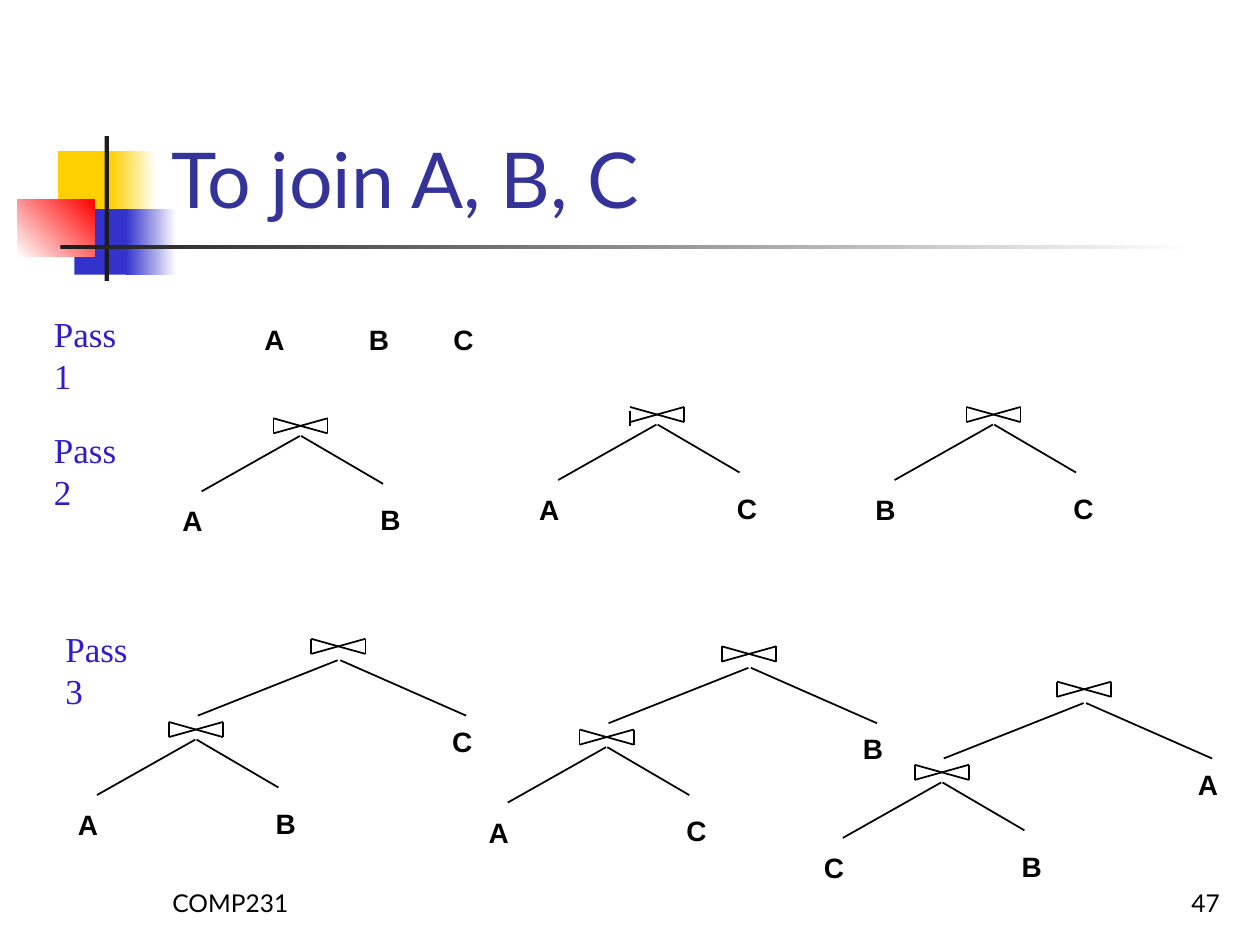
from dataclasses import dataclass

from lxml.etree import SubElement
from pptx import Presentation
from pptx.dml.color import RGBColor
from pptx.enum.shapes import MSO_CONNECTOR, MSO_SHAPE
from pptx.enum.text import MSO_ANCHOR, PP_ALIGN
from pptx.oxml.ns import qn
from pptx.util import Inches, Pt

SLIDE_WIDTH, SLIDE_HEIGHT = Inches(10), Inches(7.5)
COLUMNS, ROWS = 100, 75

# Sizes in grid cells
JOIN_WIDTH, JOIN_HEIGHT = 4.3, 1.2
LEAF_SIZE = 3.6


@dataclass(frozen=True)
class TextStyle:
    font: str
    size: int
    color: str
    bold: bool = False


@dataclass(frozen=True)
class Theme:
    title: TextStyle = TextStyle("Lato", 44, "333399")
    footer: TextStyle = TextStyle("Lato", 14, "000000")
    step: TextStyle = TextStyle("Times New Roman", 20, "301BCD")
    leaf: TextStyle = TextStyle("Arial", 16, "000000", True)
    line: str = "000000"
    line_width: float = 1
    yellow: str = "FFCF01"
    blue: str = "3333CC"
    red: str = "FF0000"
    dark: str = "1C1C1C"
    white: str = "FFFFFF"


THEME = Theme()


def across(columns):
    return round(SLIDE_WIDTH * columns / COLUMNS)


def down(rows):
    return round(SLIDE_HEIGHT * rows / ROWS)


def add_block(slide, left, top, width, height, color, end_color=None, angle=0):
    """Add a borderless rectangle, fading to end_color when one is given."""
    shape = slide.shapes.add_shape(
        MSO_SHAPE.RECTANGLE, across(left), down(top), across(width), down(height)
    )
    shape.shadow.inherit = False
    shape.line.fill.background()
    if end_color is None:
        shape.fill.solid()
        shape.fill.fore_color.rgb = RGBColor.from_string(color)
        return
    shape.fill.gradient()
    shape.fill.gradient_angle = angle
    for stop, stop_color in zip(shape.fill.gradient_stops, (color, end_color)):
        stop.color.rgb = RGBColor.from_string(stop_color)


def add_text(slide, text, left, top, width, height, style,
             anchor=MSO_ANCHOR.TOP, align=PP_ALIGN.LEFT, wrap=False):
    box = slide.shapes.add_textbox(across(left), down(top), across(width), down(height))
    frame = box.text_frame
    frame.word_wrap = wrap
    frame.vertical_anchor = anchor
    paragraph = frame.paragraphs[0]
    paragraph.text = text
    paragraph.alignment = align
    paragraph.font.name = style.font
    paragraph.font.size = Pt(style.size)
    paragraph.font.bold = style.bold
    paragraph.font.color.rgb = RGBColor.from_string(style.color)


def add_line(slide, start_x, start_y, end_x, end_y):
    line = slide.shapes.add_connector(
        MSO_CONNECTOR.STRAIGHT,
        across(start_x), down(start_y), across(end_x), down(end_y),
    )
    line.line.color.rgb = RGBColor.from_string(THEME.line)
    line.line.width = Pt(THEME.line_width)
    SubElement(line._element.spPr, qn("a:effectLst"))


def add_leaf(slide, name, left, top):
    add_text(slide, name, left, top, LEAF_SIZE, LEAF_SIZE, THEME.leaf)


def add_join(slide, left, top, left_side_drop=0):
    """Draw the bow-tie join symbol; its left side can sit a little lower."""
    right, bottom = left + JOIN_WIDTH, top + JOIN_HEIGHT
    add_line(slide, left, top + left_side_drop, left, bottom + left_side_drop)
    add_line(slide, right, top, right, bottom)
    add_line(slide, left, top, right, bottom)
    add_line(slide, left, bottom, right, top)


def add_pair(slide, left, top, left_leaf, right_leaf, left_side_drop=0):
    """Draw a join of two relations, placed by the corner of its symbol."""
    add_join(slide, left, top, left_side_drop)
    add_line(slide, left - 5.7, top + 5.8, left + 2.1, top + 1.4)
    add_line(slide, left + 2.2, top + 1.4, left + 8.7, top + 5.2)
    add_leaf(slide, left_leaf, left - 8.2, top + 6.3)
    add_leaf(slide, right_leaf, left + 7.5, top + 6.2)


def add_triple(slide, left, top, left_leaf, right_leaf, outer_leaf):
    """Draw a pair joined to a third relation, placed by the pair's symbol."""
    add_pair(slide, left, top, left_leaf, right_leaf)
    add_join(slide, left + 11.3, top - 6.6)
    add_line(slide, left + 2.3, top - 0.5, left + 13.4, top - 4.9)
    add_line(slide, left + 13.6, top - 4.9, left + 23.6, top - 0.5)
    add_leaf(slide, outer_leaf, left + 21.5, top - 0.3)


def add_decoration(slide):
    add_block(slide, 4.6, 12, 4.8, 5.2, THEME.yellow)
    add_block(slide, 8.8, 12, 3.6, 5.2, THEME.yellow, THEME.white)
    add_block(slide, 5.9, 16.6, 4.6, 5.2, THEME.blue)
    add_block(slide, 10, 16.6, 4, 5.2, THEME.blue, THEME.white)
    add_block(slide, 1.4, 15.8, 6.1, 4.6, THEME.white, THEME.red, angle=45)
    add_block(slide, 8.3, 10.8, 0.35, 11.5, THEME.dark)
    add_block(slide, 4.8, 19.45, 90, 0.35, THEME.dark, THEME.white)


def main():
    presentation = Presentation()
    presentation.slide_width, presentation.slide_height = SLIDE_WIDTH, SLIDE_HEIGHT
    slide = presentation.slides.add_slide(presentation.slide_layouts[6])

    add_decoration(slide)
    add_text(slide, "To join A, B, C", 12.6, 2.3, 85.2, 16, THEME.title,
             MSO_ANCHOR.BOTTOM, wrap=True)
    for text, left, align in (("COMP231", 12.7, PP_ALIGN.LEFT),
                              ("47", 77, PP_ALIGN.RIGHT)):
        add_text(slide, text, left, 68.3, 20.8, 5, THEME.footer,
                 MSO_ANCHOR.BOTTOM, align, wrap=True)

    for text, left, top in (("Pass 1", 3.3, 24.3), ("Pass 2", 3.3, 33.5),
                            ("Pass 3", 4.2, 49.3)):
        add_text(slide, text, left, top, 9, 4.3, THEME.step)

    for name, left in (("A", 20), ("B", 28.3), ("C", 35)):
        add_leaf(slide, name, left, 25.1)

    add_pair(slide, 21.7, 33.2, "A", "B")
    add_pair(slide, 50, 32.3, "A", "C", left_side_drop=0.3)
    add_pair(slide, 76.7, 32.3, "B", "C")

    add_triple(slide, 13.4, 57.3, "A", "B", outer_leaf="C")
    add_triple(slide, 46, 57.9, "A", "C", outer_leaf="B")
    add_triple(slide, 72.6, 60.7, "C", "B", outer_leaf="A")

    presentation.save("out.pptx")


if __name__ == "__main__":
    main()
